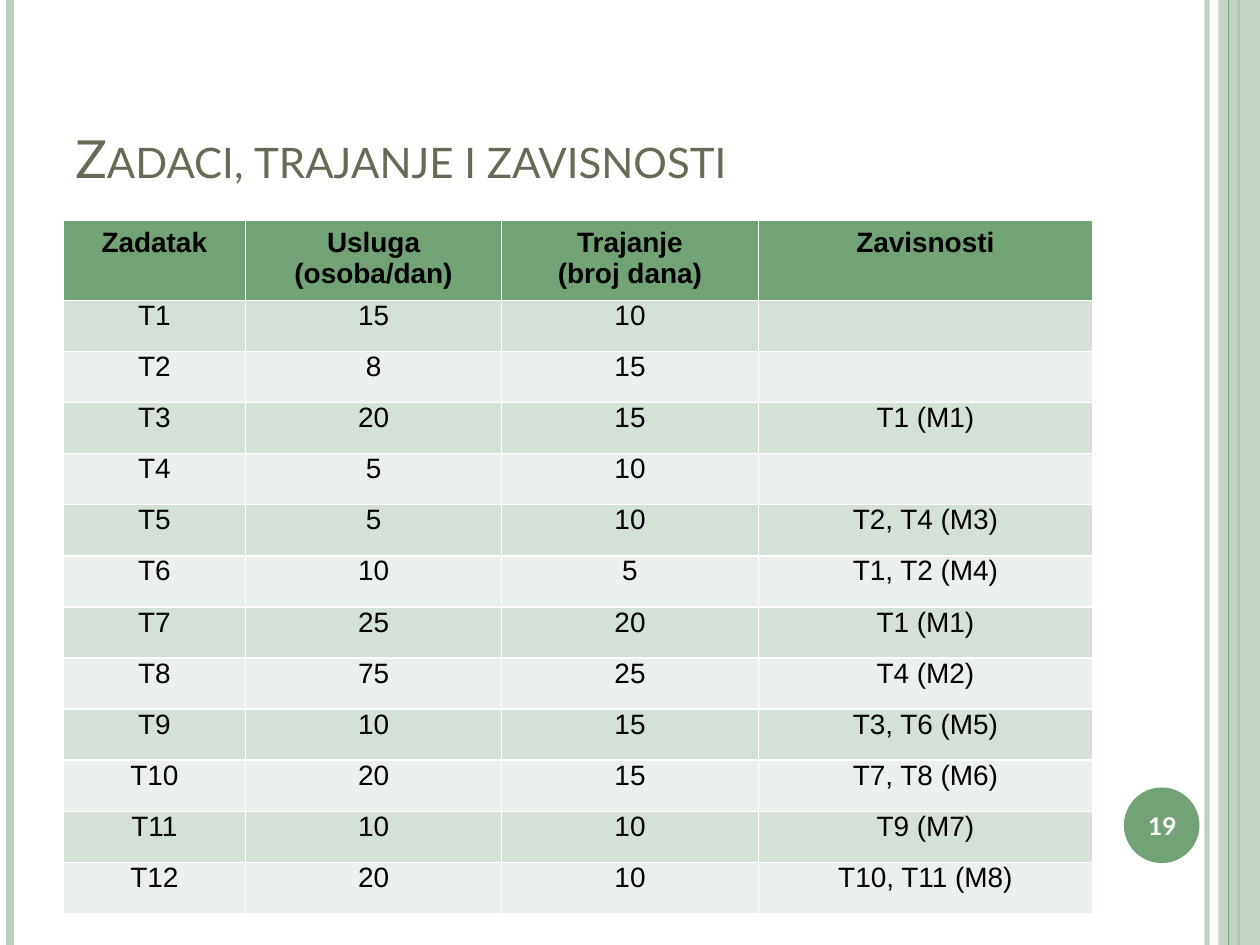
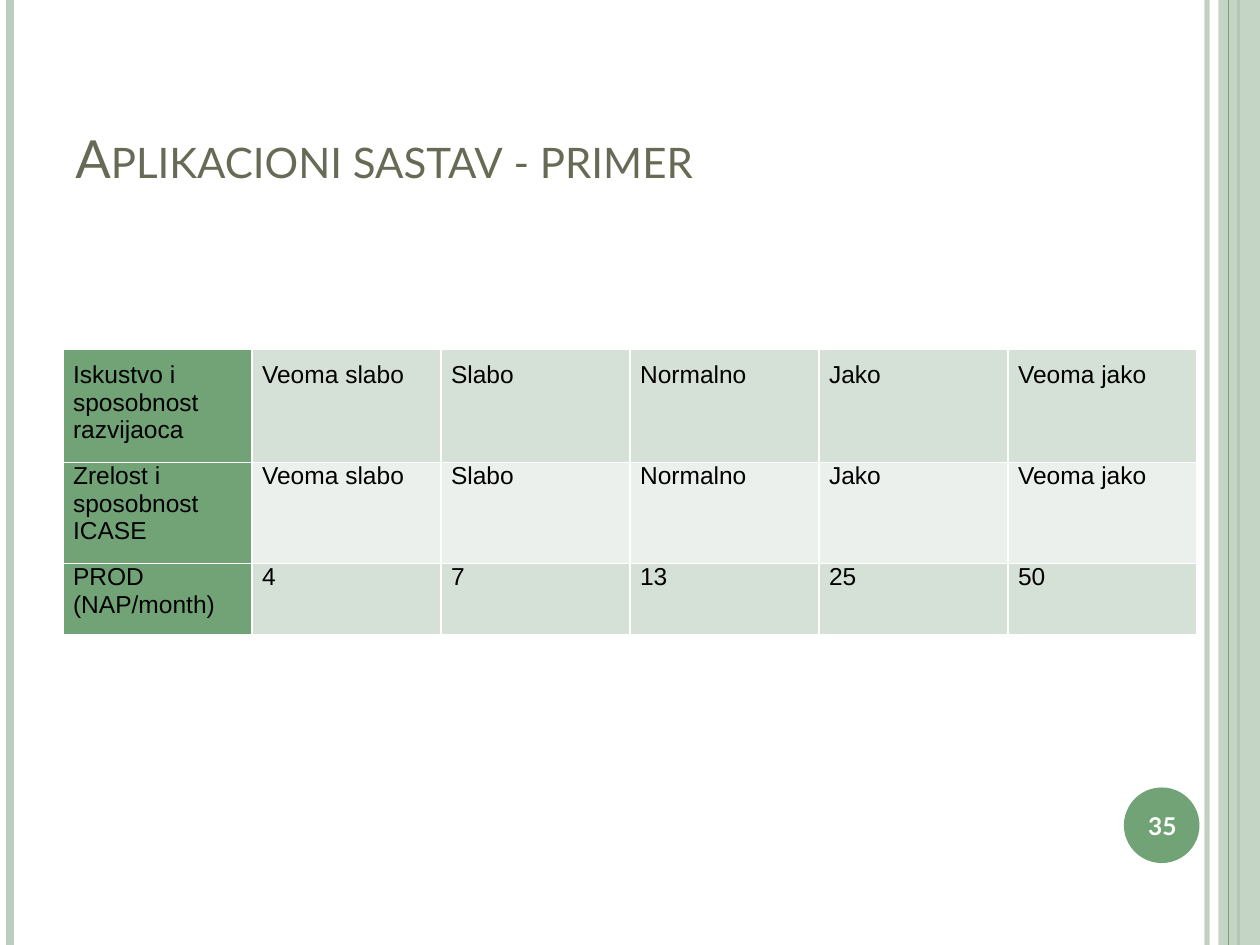
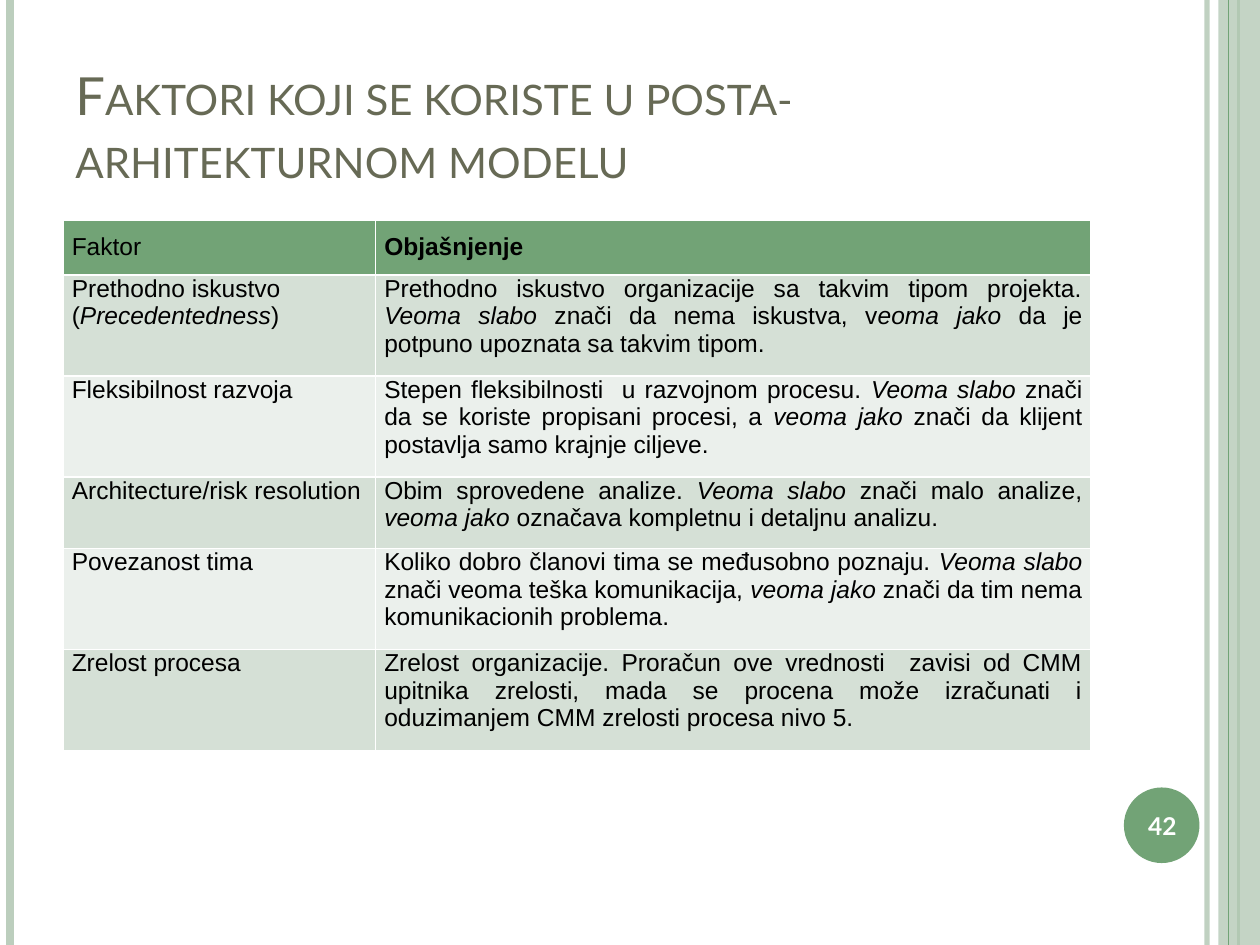
from dataclasses import dataclass

from lxml.etree import SubElement
from pptx import Presentation
from pptx.dml.color import RGBColor
from pptx.enum.shapes import MSO_CONNECTOR, MSO_SHAPE
from pptx.enum.text import MSO_ANCHOR, PP_ALIGN
from pptx.oxml.ns import qn
from pptx.util import Inches, Pt

GREEN = "72A376"
PALE_GREEN = "BCCEBD"
BANDS = ("D5E0D6", "EBF0EC")
WHITE = "FFFFFF"
BLACK = "000000"
OLIVE = "676A55"
TITLE_FONT = "Lato"
TABLE_FONT = "Arial"


@dataclass
class Stripe:
    x: float
    width: float
    color: str
    alpha: int = 100


@dataclass
class TableSpec:
    top: float
    columns: list[float]
    heights: list[float]
    rows: list[list[str]]
    size: int
    pad_x: float
    pad_y: float
    align: PP_ALIGN
    header_row: bool = True
    bold_columns: tuple[int, ...] = ()


@dataclass
class Page:
    title: str
    number: int
    table: TableSpec


LEFT_STRIPES = [
    Stripe(9.58, 3, PALE_GREEN, 93),
    Stripe(0.08, 4.5, PALE_GREEN),
    Stripe(9.83, 1.5, GREEN),
]
TOP_STRIPE = Stripe(9.75, 0.75, GREEN)

TASKS = TableSpec(
    top=1.75,
    columns=[1.45, 2.03, 2.04, 2.65],
    heights=[0.59] + [(5.46 - 0.59) / 12] * 12,
    rows=[
        ["Zadatak", "Usluga (osoba/dan)", "Trajanje\n(broj dana)", "Zavisnosti"],
        ["T1", "15", "10", ""],
        ["T2", "8", "15", ""],
        ["T3", "20", "15", "T1 (M1)"],
        ["T4", "5", "10", ""],
        ["T5", "5", "10", "T2, T4 (M3)"],
        ["T6", "10", "5", "T1, T2 (M4)"],
        ["T7", "25", "20", "T1 (M1)"],
        ["T8", "75", "25", "T4 (M2)"],
        ["T9", "10", "15", "T3, T6 (M5)"],
        ["T10", "20", "15", "T7, T8 (M6)"],
        ["T11", "10", "10", "T9 (M7)"],
        ["T12", "20", "10", "T10, T11 (M8)"],
    ],
    size=16, pad_x=0.05, pad_y=0.05, align=PP_ALIGN.CENTER,
    bold_columns=(0, 1, 2, 3),
)

LEVELS = ["Veoma slabo", "Slabo", "Normalno", "Jako", "Veoma jako"]
PRODUCTIVITY = TableSpec(
    top=2.77,
    columns=[1.5] * 6,
    heights=[0.86, 0.75, 0.54],
    rows=[
        ["Iskustvo i sposobnost razvijaoca", *LEVELS],
        ["Zrelost i sposobnost ICASE", *LEVELS],
        ["PROD (NAP/month)", "4", "7", "13", "25", "50"],
    ],
    size=14, pad_x=0.08, pad_y=0.1, align=PP_ALIGN.JUSTIFY,
    header_row=False,
)

FACTORS = TableSpec(
    top=1.75,
    columns=[2.48, 5.68],
    heights=[0.41, 0.75, 0.75, 0.54, 0.75, 0.75],
    rows=[
        ["Faktor", "Objašnjenje"],
        ["Prethodno iskustvo\n(*Precedentedness*)",
         "Prethodno iskustvo organizacije sa takvim tipom projekta. *Veoma slabo* znači "
         "da nema iskustva, v*eoma jako* da je potpuno upoznata sa takvim tipom."],
        ["Fleksibilnost razvoja",
         "Stepen fleksibilnosti  u razvojnom procesu. *Veoma slabo* znači da se koriste "
         "propisani procesi, a *veoma jako* znači da klijent postavlja samo krajnje ciljeve."],
        ["Architecture/risk resolution",
         "Obim sprovedene analize. *Veoma slabo* znači malo analize, "
         "*veoma jako *označava kompletnu i detaljnu analizu."],
        ["Povezanost tima",
         "Koliko dobro članovi tima se međusobno poznaju. *Veoma slabo* znači veoma teška "
         "komunikacija, *veoma jako *znači da tim nema komunikacionih problema."],
        ["Zrelost procesa",
         "Zrelost organizacije. Proračun ove vrednosti  zavisi od CMM upitnika zrelosti, "
         "mada se procena može izračunati i oduzimanjem CMM zrelosti procesa nivo 5."],
    ],
    size=14, pad_x=0.07, pad_y=0.1, align=PP_ALIGN.JUSTIFY,
    bold_columns=(1,),
)

PAGES = [
    Page("Zadaci, trajanje i zavisnosti", 19, TASKS),
    Page("Aplikacioni sastav - primer", 35, PRODUCTIVITY),
    Page("Faktori koji se koriste u posta-arhitekturnom modelu", 42, FACTORS),
]


def rgb(color: str) -> RGBColor:
    return RGBColor.from_string(color)


def set_alpha(element, percent: int) -> None:
    color = next(element.iter(qn("a:srgbClr")))
    SubElement(color, qn("a:alpha"), val=str(percent * 1000))


def style_font(font, name: str, size: float, color: str, bold: bool = False) -> None:
    font.name = name
    font.size = Pt(size)
    font.color.rgb = rgb(color)
    font.bold = bold


def add_stripe(s, stripe: Stripe) -> None:
    x = Inches(stripe.x)
    line = s.shapes.add_connector(MSO_CONNECTOR.STRAIGHT, x, 0, x, Inches(7.5))
    line.line.color.rgb = rgb(stripe.color)
    line.line.width = Pt(stripe.width)
    properties = line._element.spPr
    if stripe.alpha < 100:
        set_alpha(properties, stripe.alpha)
    SubElement(properties, qn("a:effectLst"))


def add_filled(s, kind: MSO_SHAPE, x: float, y: float, w: float, h: float,
               color: str, alpha: int = 100) -> None:
    sp = s.shapes.add_shape(kind, Inches(x), Inches(y), Inches(w), Inches(h))
    sp.shadow.inherit = False
    sp.fill.solid()
    sp.fill.fore_color.rgb = rgb(color)
    sp.line.fill.background()
    if alpha < 100:
        set_alpha(sp._element.spPr, alpha)


def add_text(s, text: str, x: float, y: float, w: float, h: float, size: float,
             color: str, anchor: MSO_ANCHOR, align: PP_ALIGN, bold: bool = False):
    box = s.shapes.add_textbox(Inches(x), Inches(y), Inches(w), Inches(h))
    tf = box.text_frame
    tf.word_wrap = True
    tf.vertical_anchor = anchor
    tf.text = text
    p = tf.paragraphs[0]
    p.alignment = align
    r = p.runs[0]
    style_font(r.font, TITLE_FONT, size, color, bold)
    return r


def add_frame(s, page: Page) -> None:
    for stripe in LEFT_STRIPES:
        add_stripe(s, stripe)
    add_filled(s, MSO_SHAPE.RECTANGLE, 9.67, 0, 0.33, 7.5, PALE_GREEN, 87)
    add_stripe(s, TOP_STRIPE)
    add_filled(s, MSO_SHAPE.OVAL, 8.92, 6.25, 0.6, 0.6, GREEN)
    title = add_text(s, page.title, 0.5, 0.3, 8.17, 1.25, 30, OLIVE,
                     MSO_ANCHOR.BOTTOM, PP_ALIGN.LEFT)
    title._r.get_or_add_rPr().set("cap", "small")
    add_text(s, str(page.number), 8.89, 6.27, 0.67, 0.57, 14, WHITE,
             MSO_ANCHOR.MIDDLE, PP_ALIGN.CENTER, bold=True)


def set_borders(cell) -> None:
    properties = cell._tc.get_or_add_tcPr()
    for index, side in enumerate(("lnL", "lnR", "lnT", "lnB")):
        line = SubElement(properties, qn(f"a:{side}"), w=str(Pt(1)))
        fill = SubElement(line, qn("a:solidFill"))
        SubElement(fill, qn("a:srgbClr"), val=WHITE)
        properties.insert(index, line)


def write_cell(cell, text: str, spec: TableSpec, align: PP_ALIGN, bold: bool) -> None:
    tf = cell.text_frame
    for index, line in enumerate(text.split("\n")):
        p = tf.add_paragraph() if index else tf.paragraphs[0]
        p.alignment = align
        for part, words in enumerate(line.split("*")):
            if words:
                r = p.add_run()
                r.text = words
                style_font(r.font, TABLE_FONT, spec.size, BLACK, bold)
                r.font.italic = part % 2 == 1


def add_grid(s, spec: TableSpec) -> None:
    frame = s.shapes.add_table(len(spec.rows), len(spec.columns), Inches(0.5), Inches(spec.top),
                               Inches(sum(spec.columns)), Inches(sum(spec.heights)))
    table = frame.table
    table.first_row = spec.header_row
    table.first_col = not spec.header_row
    table.horz_banding = False
    for column, width in zip(table.columns, spec.columns):
        column.width = Inches(width)
    for row, height in zip(table.rows, spec.heights):
        row.height = Inches(height)
    for i, texts in enumerate(spec.rows):
        for j, text in enumerate(texts):
            cell = table.cell(i, j)
            header = i == 0 if spec.header_row else j == 0
            band = BANDS[(i - spec.header_row) % 2]
            cell.fill.solid()
            cell.fill.fore_color.rgb = rgb(GREEN if header else band)
            cell.margin_left = cell.margin_right = Inches(spec.pad_x)
            cell.margin_top = Inches(0 if i else spec.pad_y)
            cell.margin_bottom = Inches(spec.pad_y)
            set_borders(cell)
            align = PP_ALIGN.LEFT if header and not spec.header_row else spec.align
            write_cell(cell, text, spec, align, header and j in spec.bold_columns)


def main() -> None:
    prs = Presentation()
    prs.slide_width = Inches(10)
    prs.slide_height = Inches(7.5)
    for page in PAGES:
        s = prs.slides.add_slide(prs.slide_layouts[6])
        add_frame(s, page)
        add_grid(s, page.table)
    prs.save("out.pptx")


if __name__ == "__main__":
    main()
